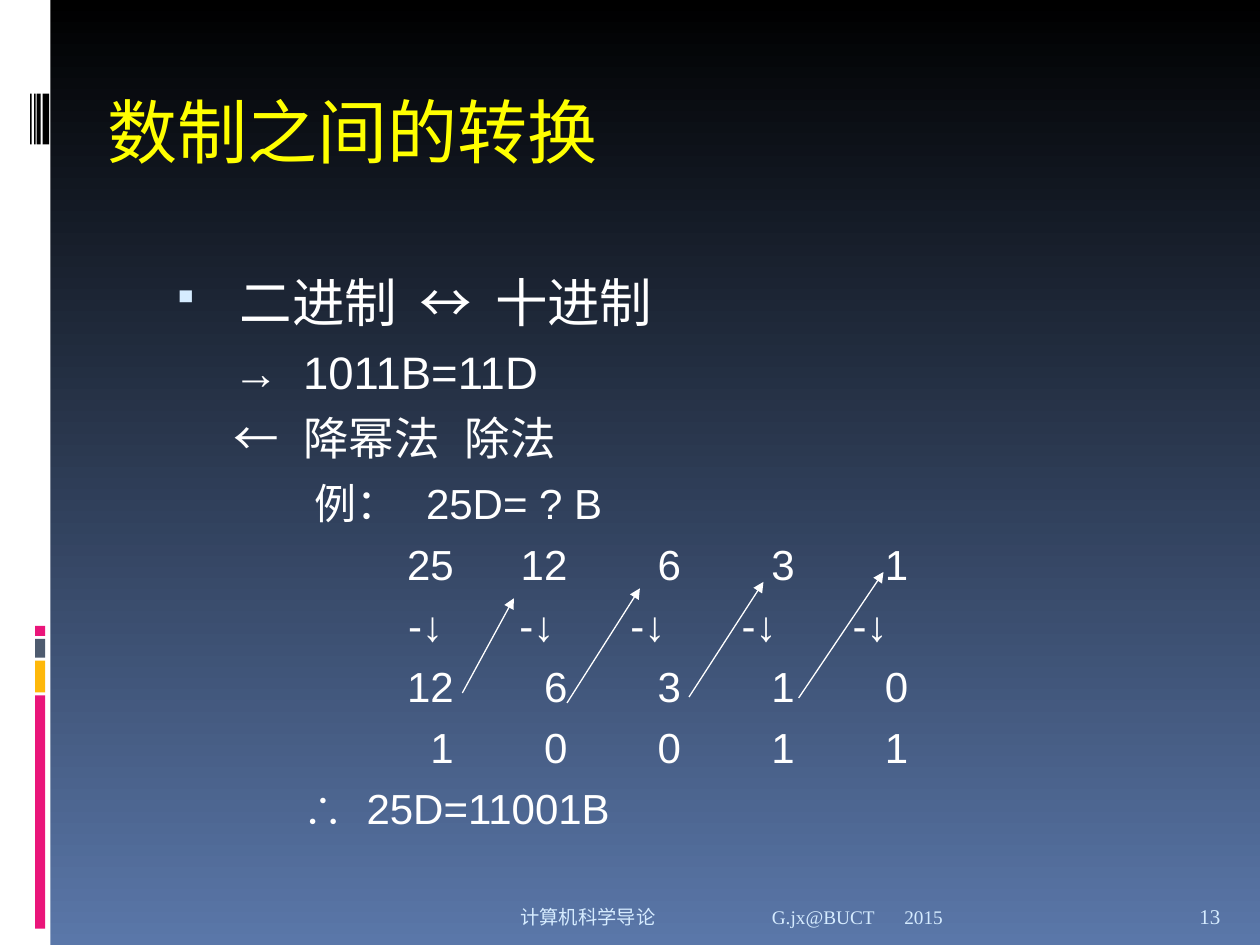
from dataclasses import dataclass

from lxml.etree import SubElement
from pptx import Presentation
from pptx.dml.color import RGBColor
from pptx.enum.shapes import MSO_CONNECTOR, MSO_SHAPE
from pptx.enum.text import MSO_ANCHOR
from pptx.oxml.ns import qn
from pptx.util import Cm, Pt


@dataclass(frozen=True)
class Theme:
    white: str = "FFFFFF"
    black: str = "000000"
    blue: str = "5A77A9"
    pale: str = "D6ECFF"
    yellow: str = "FFFF00"
    pink: str = "EA157A"
    amber: str = "FEB80A"
    slate: str = "4E5B6F"
    title: int = 40
    heading: int = 30
    method: int = 26
    example: int = 24
    footer: int = 11
    number: int = 12
    latin: str = "Arial"
    body: str = "Calibri"
    serif: str = "Times New Roman"


class SlideBuilder:
    def __init__(self, slide, theme):
        self.slide = slide
        self.theme = theme

    def background(self, top, bottom):
        fill = self.slide.background.fill
        fill.gradient()
        fill.gradient_angle = 270
        for stop, color, position in zip(fill.gradient_stops, (top, bottom), (0, 1)):
            stop.color.rgb = RGBColor.from_string(color)
            stop.position = position

    def bar(self, left, top, width, height, color):
        shape = self.slide.shapes.add_shape(
            MSO_SHAPE.RECTANGLE, Cm(left), Cm(top), Cm(width), Cm(height))
        shape.shadow.inherit = False
        shape.fill.solid()
        shape.fill.fore_color.rgb = RGBColor.from_string(color)
        shape.line.fill.background()

    def text_box(self, left, top, width, height, anchor=MSO_ANCHOR.BOTTOM):
        frame = self.slide.shapes.add_textbox(
            Cm(left), Cm(top), Cm(width), Cm(height)).text_frame
        frame.word_wrap = True
        frame.vertical_anchor = anchor
        return frame

    def paragraph(self, frame, runs, size, color, before=0, tabs=(), bullet=None):
        """Add runs of (text, font); tabs are (cm, alignment) pairs."""
        first = not frame.paragraphs[0].runs
        paragraph = frame.paragraphs[0] if first else frame.add_paragraph()
        if before:
            paragraph.space_before = Pt(before)
        properties = paragraph._p.get_or_add_pPr()
        if bullet:
            properties.set("marL", str(Cm(1.4)))
            properties.set("indent", str(Cm(-1.36)))
            bullet_color = SubElement(properties, qn("a:buClr"))
            SubElement(bullet_color, qn("a:srgbClr"), val=self.theme.pale)
            SubElement(properties, qn("a:buSzPct"), val="70000")
            SubElement(properties, qn("a:buChar"), char=bullet)
        if tabs:
            tab_list = SubElement(properties, qn("a:tabLst"))
            for position, align in tabs:
                SubElement(tab_list, qn("a:tab"), pos=str(Cm(position)), algn=align)
        for text, font in runs:
            run = paragraph.add_run()
            run.text = text
            run.font.name = font
            run.font.size = Pt(size)
            run.font.color.rgb = RGBColor.from_string(color)

    def arrow(self, start, end):
        connector = self.slide.shapes.add_connector(
            MSO_CONNECTOR.STRAIGHT, *(Cm(value) for value in start + end))
        connector.line.color.rgb = RGBColor.from_string(self.theme.white)
        connector.line.width = Pt(0.75)
        SubElement(connector.line._get_or_add_ln(), qn("a:tailEnd"), type="triangle")
        SubElement(connector._element.spPr, qn("a:effectLst"))


def left_tabs(*positions):
    return [(position, "l") for position in positions]


def draw_side_band(builder):
    theme = builder.theme
    builder.bar(0, 0, 1.02, 19.05, theme.white)
    bottom = 18.72
    for height, color in ((4.7, theme.pink), (0.64, theme.amber),
                          (0.38, theme.slate), (0.2, theme.pink)):
        builder.bar(0.71, bottom - height, 0.2, height, color)
        bottom -= height + 0.06
    for left, width in ((0.86, 0.13), (0.74, 0.08), (0.69, 0.03), (0.61, 0.03)):
        builder.bar(left, 1.89, width, 1.02, theme.black)


def draw_conversion(builder):
    theme = builder.theme
    frame = builder.text_box(3.18, 5.31, 21.59, 12.5, MSO_ANCHOR.TOP)
    builder.paragraph(
        frame, [("二进制\t", theme.body), ("↔", theme.latin), ("\t十进制", theme.body)],
        theme.heading, theme.white, tabs=left_tabs(5.02, 6.55), bullet="▪")

    def line(runs, size, before, tabs):
        builder.paragraph(frame, runs, size, theme.white, before, tabs)

    line([("\t→\t1011B=11D", theme.latin)], theme.method, 6.5, left_tabs(1.27, 2.68))
    line([("\t←\t", theme.latin), ("降幂法\t除法", theme.body)],
         theme.method, 6.5, left_tabs(1.27, 2.68, 5.94))
    line([("\t例：\t", theme.body), ("25D= ? B", theme.latin)],
         theme.example, 7.5, left_tabs(2.91, 5.16))

    number_stops = [(5.72 + 2.29 * column, "r") for column in range(5)]
    arrow_stops = [(4.8 + 2.24 * column, "l") for column in range(5)]
    for cells, stops in ((("25", "12", "6", "3", "1"), number_stops),
                         (("-↓",) * 5, arrow_stops),
                         (("12", "6", "3", "1", "0"), number_stops),
                         (("1", "0", "0", "1", "1"), number_stops)):
        line([("\t" + cell, theme.latin) for cell in cells], theme.example, 6, stops)

    line([("\t∴\t25D=11001B", theme.latin)], theme.example, 6, left_tabs(2.67, 3.96))

    for start, end in (((9.32, 13.97), (10.36, 12.06)),
                       ((11.43, 14.17), (12.9, 11.86)),
                       ((13.89, 14.05), (15.39, 11.73)),
                       ((16.1, 14.07), (17.81, 11.53))):
        builder.arrow(start, end)


def draw_footer(builder):
    theme = builder.theme
    for left, width, text, size, tabs in (
            (2.54, 15.44, "\t计算机科学导论\tG.jx@BUCT", theme.footer,
             left_tabs(7.7, 12.77)),
            (17.98, 5.92, "2015", theme.footer, ()),
            (23.93, 1.27, "13", theme.number, ())):
        frame = builder.text_box(left, 17.83, width, 1.02)
        builder.paragraph(frame, [(text, theme.serif)], size, theme.pale, tabs=tabs)


def main():
    presentation = Presentation()
    presentation.slide_width = Cm(25.4)
    presentation.slide_height = Cm(19.05)
    theme = Theme()
    slide = presentation.slides.add_slide(presentation.slide_layouts[6])
    builder = SlideBuilder(slide, theme)
    builder.background(theme.black, theme.blue)
    draw_side_band(builder)
    title = builder.text_box(1.92, 1.49, 21.59, 2.11)
    builder.paragraph(title, [("数制之间的转换", theme.latin)], theme.title, theme.yellow)
    draw_conversion(builder)
    draw_footer(builder)
    presentation.save("out.pptx")


if __name__ == "__main__":
    main()
